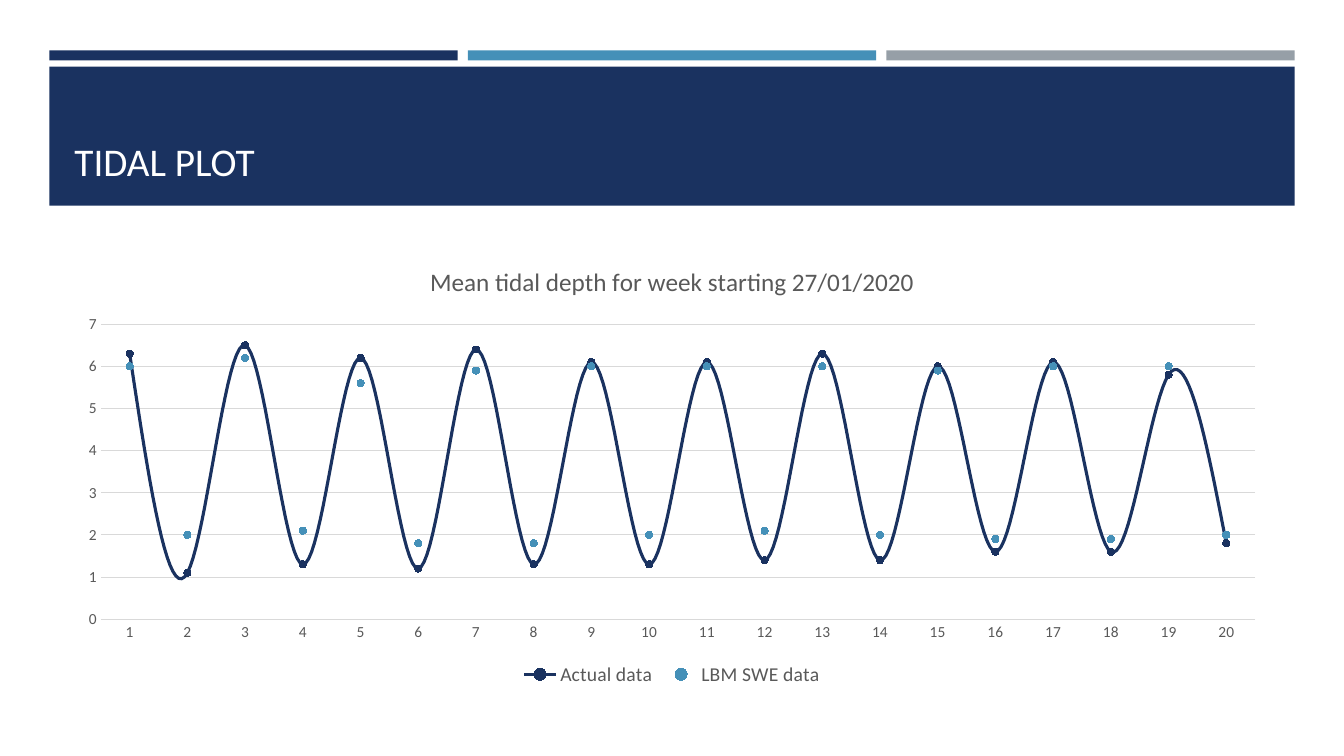
"""Build the tidal plot slide."""
from dataclasses import dataclass

from pptx import Presentation
from pptx.chart.data import CategoryChartData
from pptx.dml.color import RGBColor
from pptx.enum.chart import XL_CHART_TYPE, XL_LEGEND_POSITION, XL_MARKER_STYLE, XL_TICK_MARK
from pptx.enum.shapes import MSO_SHAPE
from pptx.enum.text import MSO_ANCHOR
from pptx.util import Inches, Pt

RECT = MSO_SHAPE.RECTANGLE
BOTTOM = MSO_ANCHOR.BOTTOM
LINE_MARKERS = XL_CHART_TYPE.LINE_MARKERS
LEGEND_BOTTOM = XL_LEGEND_POSITION.BOTTOM
CIRCLE = XL_MARKER_STYLE.CIRCLE
NO_TICK = XL_TICK_MARK.NONE


@dataclass(frozen=True)
class Theme:
    navy: str = "1A3260"
    blue: str = "4590B8"
    grey: str = "969FA7"
    white: str = "FFFFFF"
    text: str = "595959"
    rule: str = "D9D9D9"
    font: str = "Calibri"
    title: float = 28
    chart_title: float = 18
    legend: float = 14
    axis: float = 11
    hairline: float = 0.75
    curve: float = 2.25
    marker: int = 5


WIDTH, HEIGHT = 13.33, 7.5
COLUMNS, ROWS = 3, 75
MARGIN, GUTTER, INSET = 0.49, 0.1, 0.15
COLUMN = (WIDTH - 2 * MARGIN - (COLUMNS - 1) * GUTTER) / COLUMNS
ROW = HEIGHT / ROWS

ACTUAL = (6.3, 1.1, 6.5, 1.3, 6.2, 1.2, 6.4, 1.3, 6.1, 1.3,
          6.1, 1.4, 6.3, 1.4, 6, 1.6, 6.1, 1.6, 5.8, 1.8)
LBM_SWE = (6, 2, 6.2, 2.1, 5.6, 1.8, 5.9, 1.8, 6, 2,
           6, 2.1, 6, 2, 5.9, 1.9, 6, 1.9, 6, 2)


def apply(obj, values):
    for name, value in values.items():
        setattr(obj, name, value)


class Deck:
    def __init__(self, prs, theme):
        self.theme = theme
        self.s = prs.slides.add_slide(prs.slide_layouts[6])

    def box(self, col, row, cols, rows, inset=0):
        x = MARGIN + col * (COLUMN + GUTTER) + inset
        w = cols * COLUMN + (cols - 1) * GUTTER - 2 * inset
        return [Inches(v) for v in (x, row * ROW, w, rows * ROW)]

    def font(self, font, size, color):
        apply(font, {"name": self.theme.font, "size": Pt(size), "bold": False})
        font.color.rgb = RGBColor.from_string(color)

    def fill(self, fill, color):
        fill.solid()
        fill.fore_color.rgb = RGBColor.from_string(color)

    def line(self, line, color, width):
        line.width = Pt(width)
        self.fill(line.fill, color)

    def bar(self, col, row, cols, rows, color):
        sp = self.s.shapes.add_shape(RECT, *self.box(col, row, cols, rows))
        sp.shadow.inherit = False
        self.fill(sp.fill, color)
        sp.line.fill.background()

    def title(self, text, row, rows):
        tf = self.s.shapes.add_textbox(*self.box(0, row, COLUMNS, rows, INSET)).text_frame
        apply(tf, {"word_wrap": True, "vertical_anchor": BOTTOM})
        r = tf.paragraphs[0].add_run()
        r.text = text
        self.font(r.font, self.theme.title, self.theme.white)

    def axis(self, axis):
        apply(axis, {"major_tick_mark": NO_TICK, "minor_tick_mark": NO_TICK})
        self.font(axis.tick_labels.font, self.theme.axis, self.theme.text)

    def chart(self, title, series, row, rows):
        t = self.theme
        data = CategoryChartData()
        data.categories = [str(n + 1) for n in range(len(series[0][1]))]
        for name, values, *_ in series:
            data.add_series(name, values)
        chart = self.s.shapes.add_chart(
            LINE_MARKERS, *self.box(0, row, COLUMNS, rows, INSET), data).chart
        self.font(chart.font, t.axis, t.text)

        r = chart.chart_title.text_frame.paragraphs[0].add_run()
        r.text = title
        self.font(r.font, t.chart_title, t.text)
        chart.chart_title.include_in_layout = False

        chart.has_legend = True
        apply(chart.legend, {"position": LEGEND_BOTTOM, "include_in_layout": False})
        self.font(chart.legend.font, t.legend, t.text)

        cat, val = chart.category_axis, chart.value_axis
        self.axis(cat)
        self.axis(val)
        apply(val, {"minimum_scale": 0, "maximum_scale": 7, "major_unit": 1})
        self.line(cat.format.line, t.rule, t.hairline)
        self.line(val.major_gridlines.format.line, t.rule, t.hairline)
        val.format.line.fill.background()

        plot = chart.plots[0]
        plot.vary_by_categories = False
        for ser, (_, _, color, joined) in zip(plot.series, series):
            ser.smooth = joined
            apply(ser.marker, {"style": CIRCLE, "size": t.marker})
            self.fill(ser.marker.format.fill, color)
            self.line(ser.marker.format.line, color, t.hairline)
            if joined:
                self.line(ser.format.line, color, t.curve)
            else:
                ser.format.line.fill.background()


def main():
    prs = Presentation()
    apply(prs, {"slide_width": Inches(WIDTH), "slide_height": Inches(HEIGHT)})
    theme = Theme()
    deck = Deck(prs, theme)
    for col, color in enumerate((theme.navy, theme.blue, theme.grey)):
        deck.bar(col, 5, 1, 1, color)
    deck.bar(0, 6.6, COLUMNS, 13.8, theme.navy)
    deck.title("TIDAL PLOT", 8, 10.8)
    deck.chart(
        "Mean tidal depth for week starting 27/01/2020",
        [("Actual data", ACTUAL, theme.navy, True),
         ("LBM SWE data", LBM_SWE, theme.blue, False)],
        24.4, 44.1)
    prs.save("out.pptx")


if __name__ == "__main__":
    main()
